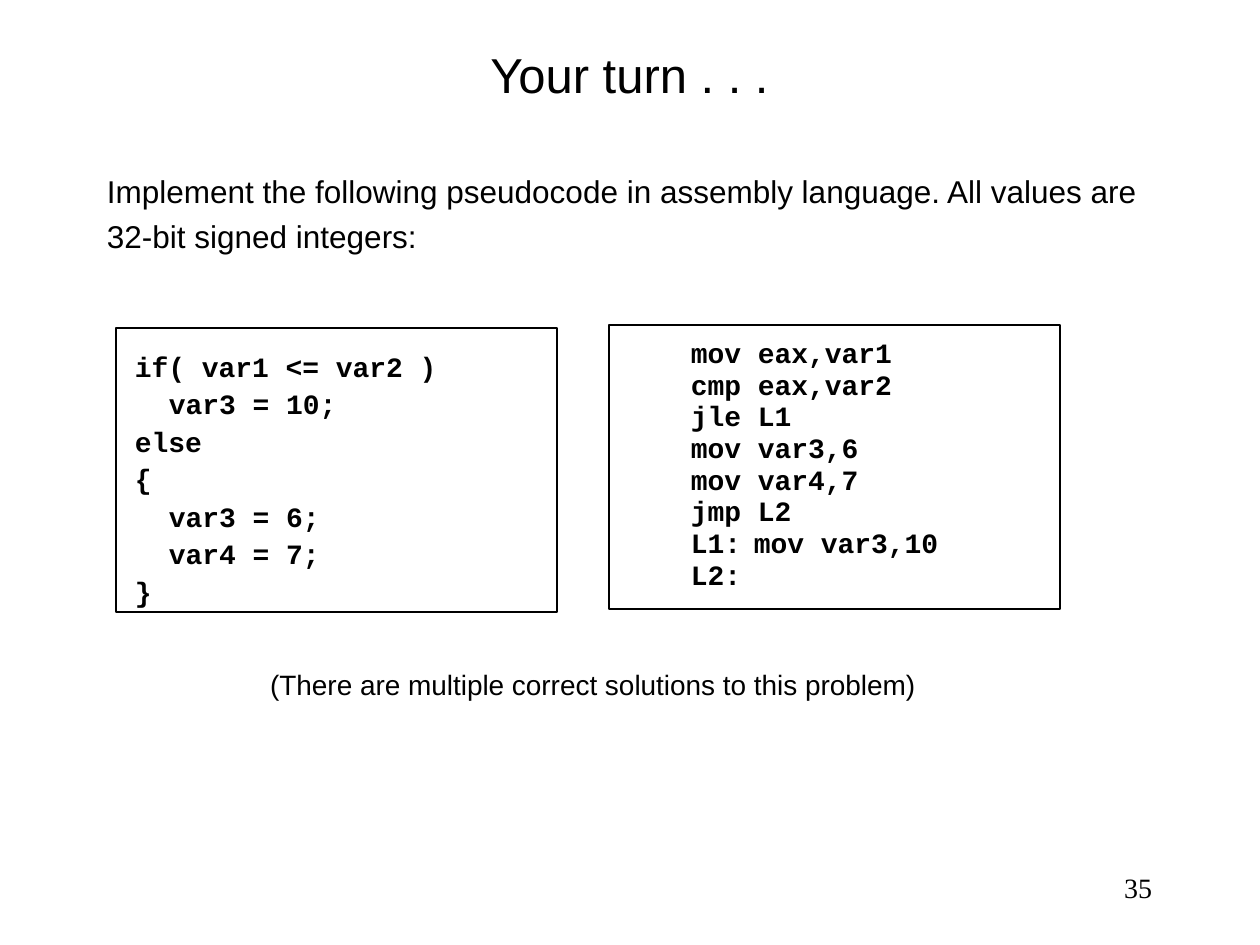
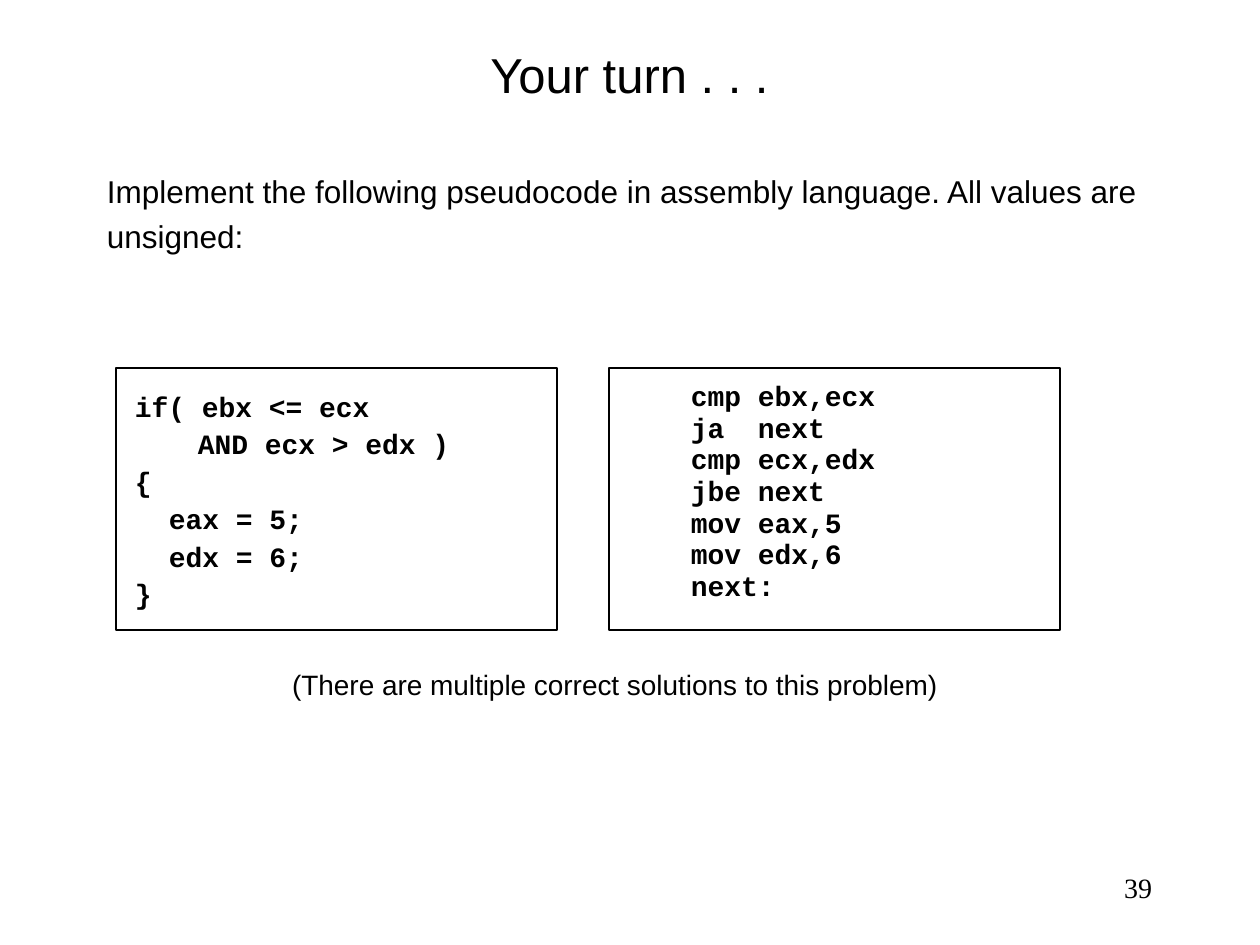
from dataclasses import dataclass
from lxml.etree import SubElement
from pptx import Presentation
from pptx.dml.color import RGBColor
from pptx.enum.shapes import MSO_SHAPE as SHAPE
from pptx.enum.text import MSO_ANCHOR as ANCHOR, PP_ALIGN as ALIGN
from pptx.oxml.ns import qn
from pptx.util import Emu, Inches, Pt

SCALE = 914400 // 126


def px(n):
    return Emu(n * SCALE)


@dataclass(frozen=True)
class Theme:
    ink: RGBColor = RGBColor(0, 0, 0)
    paper: RGBColor = RGBColor(255, 255, 255)
    sans: str = "Arial"
    mono: str = "Courier New"
    serif: str = "Times New Roman"
    title: int = 28
    body: int = 18
    small: int = 16
    line: float = 0.75


class Deck:
    def __init__(self, theme):
        self.theme = theme
        self.prs = Presentation()
        self.prs.slide_width, self.prs.slide_height = Inches(10), Inches(7.5)

    def new_slide(self):
        self.slide = self.prs.slides.add_slide(self.prs.slide_layouts[6])
        fill = self.slide.background.fill
        fill.solid()
        fill.fore_color.rgb = self.theme.paper

    def frame(self, sp, inset, anchor=ANCHOR.TOP):
        tf = sp.text_frame
        x, y = map(px, inset)
        values = {"word_wrap": True, "vertical_anchor": anchor,
                  "margin_left": x, "margin_right": x,
                  "margin_top": y, "margin_bottom": y}
        for name, value in values.items():
            setattr(tf, name, value)
        return tf

    def paragraph(self, p, text, font, size, bold=False, **layout):
        for name, value in layout.items():
            setattr(p, name, value)
        r = p.add_run()
        r.text = text
        values = {"name": font, "size": Pt(size), "bold": bold}
        for name, value in values.items():
            setattr(r.font, name, value)
        r.font.color.rgb = self.theme.ink

    def text(self, box, text, font, size, inset=(13, 6),
             anchor=ANCHOR.TOP, **layout):
        sp = self.slide.shapes.add_textbox(*map(px, box))
        tf = self.frame(sp, inset, anchor)
        self.paragraph(tf.paragraphs[0], text, font, size, **layout)

    def title(self, text):
        self.text((94, 32, 1071, 84), text, self.theme.sans, self.theme.title,
                  anchor=ANCHOR.MIDDLE, alignment=ALIGN.CENTER)

    def body(self, text):
        self.text((94, 158, 1071, 168), text, self.theme.sans, self.theme.body,
                  line_spacing=1.2)

    def note(self, left, text):
        self.text((left, 651, 998, 72), text, self.theme.sans, self.theme.small,
                  inset=(13, 19), alignment=ALIGN.CENTER)

    def number(self, n):
        self.text((1029, 861, 136, 53), str(n), self.theme.serif,
                  self.theme.small, anchor=ANCHOR.MIDDLE, alignment=ALIGN.RIGHT)

    def code(self, box, lines, spacing, gap):
        sp = self.slide.shapes.add_shape(SHAPE.RECTANGLE, *map(px, box))
        sp.shadow.inherit = False
        sp.fill.background()
        sp.line.color.rgb = self.theme.ink
        sp.line.width = Pt(self.theme.line)
        tf = self.frame(sp, (19, 25))
        for i, (indent, text) in enumerate(lines):
            p = tf.add_paragraph() if i else tf.paragraphs[0]
            self.paragraph(p, text, self.theme.mono, self.theme.small, True,
                           alignment=ALIGN.LEFT, line_spacing=spacing,
                           space_before=Pt(gap if i else 3))
            self.indent(p, indent)

    def indent(self, p, left):
        pPr = p._p.get_or_add_pPr()
        pPr.set("marL", str(px(left)))
        pPr.set("indent", "0")
        tabs = SubElement(pPr, qn("a:tabLst"))
        for stop in (0.5, 1, 4, 4.5):
            SubElement(tabs, qn("a:tab"), pos=str(Inches(stop)), algn="l")

    def pseudocode(self, top, height, lines):
        self.code((116, top, 441, height), lines, 0.9, 4.2)

    def assembly(self, top, height, lines):
        self.code((609, top, 451, height), [(TAB, s) for s in lines], 0.5, 8.5)


STEP, TAB = 34, 63

EXERCISES = [
    {"number": 35, "values": "32-bit signed integers", "note_left": 94,
     "tops": (328, 325), "height": 284,
     "pseudocode": [(0, "if( var1 <= var2 )"), (STEP, "var3 = 10;"),
                    (0, "else"), (0, "{"), (STEP, "var3 = 6;"),
                    (STEP, "var4 = 7;"), (0, "}")],
     "assembly": ["mov eax,var1", "cmp eax,var2", "jle L1", "mov var3,6",
                  "mov var4,7", "jmp L2", "L1:\tmov var3,10", "L2:"]},
    {"number": 39, "values": "unsigned", "note_left": 116,
     "tops": (368, 368), "height": 262,
     "pseudocode": [(0, "if( ebx <= ecx"), (TAB, "AND ecx > edx )"),
                    (0, "{"), (STEP, "eax = 5;"), (STEP, "edx = 6;"),
                    (0, "}")],
     "assembly": ["cmp ebx,ecx", "ja  next", "cmp ecx,edx", "jbe next",
                  "mov eax,5", "mov edx,6", "next:"]},
]

deck = Deck(Theme())
for ex in EXERCISES:
    deck.new_slide()
    deck.number(ex["number"])
    deck.title("Your turn . . .")
    deck.body("Implement the following pseudocode in assembly language. "
              f"All values are {ex['values']}:")
    left_top, right_top = ex["tops"]
    deck.assembly(right_top, ex["height"], ex["assembly"])
    deck.pseudocode(left_top, ex["height"], ex["pseudocode"])
    deck.note(ex["note_left"],
              "(There are multiple correct solutions to this problem)")
deck.prs.save("out.pptx")
